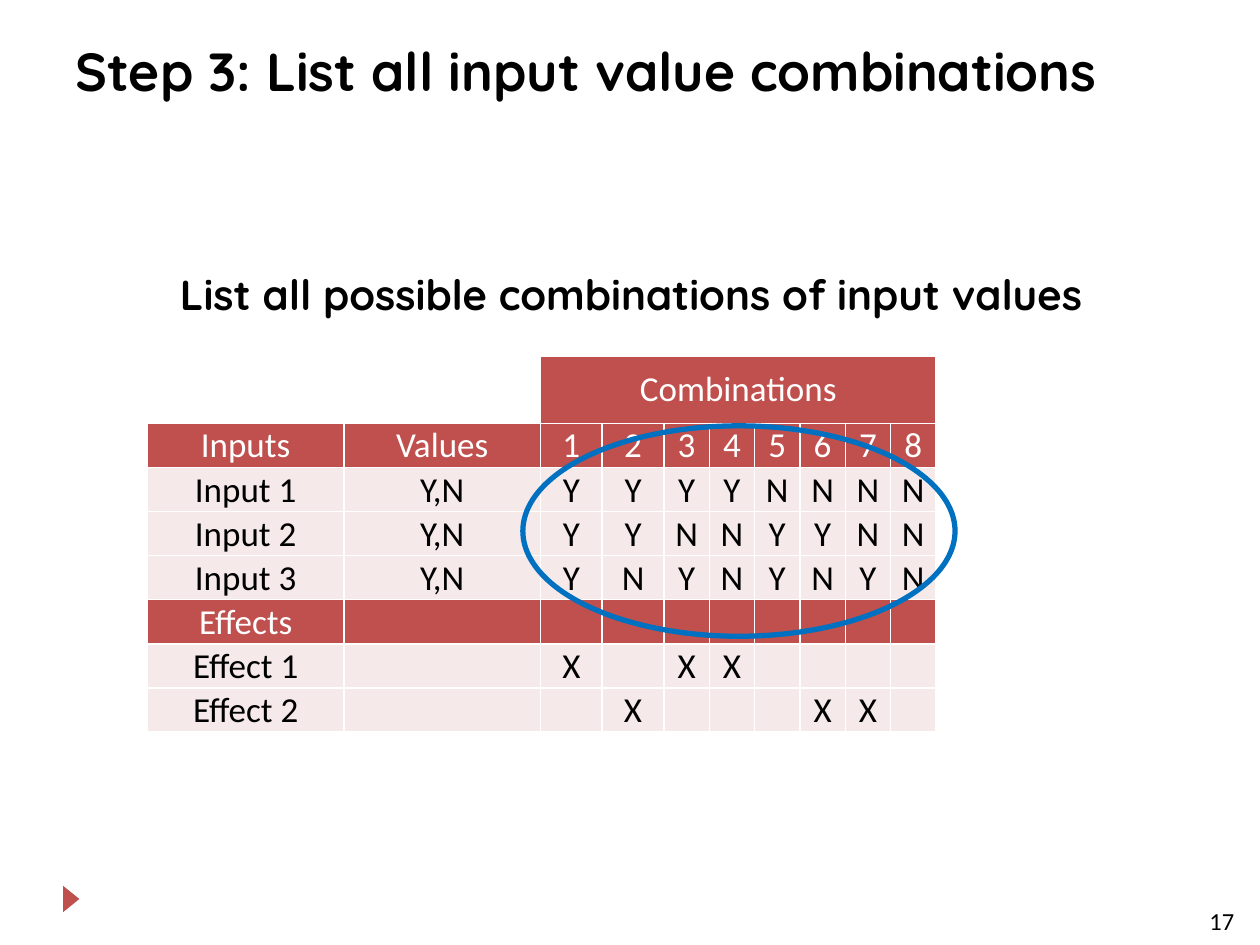
from dataclasses import dataclass

from lxml import etree
from pptx import Presentation
from pptx.dml.color import RGBColor
from pptx.enum.shapes import MSO_SHAPE
from pptx.enum.text import MSO_ANCHOR, PP_ALIGN
from pptx.oxml.ns import qn
from pptx.util import Inches, Pt

CENTER = PP_ALIGN.CENTER
MIDDLE, BOTTOM = MSO_ANCHOR.MIDDLE, MSO_ANCHOR.BOTTOM
TRIANGLE, OVAL = MSO_SHAPE.ISOSCELES_TRIANGLE, MSO_SHAPE.OVAL


@dataclass(frozen=True)
class Theme:
    """Colours, fonts and type sizes of the slide."""
    text: str = "000000"
    white: str = "FFFFFF"
    accent: str = "C0504D"
    band: str = "F5E9E9"
    ring: str = "0070C0"
    heading_font: str = "Quicksand"
    body_font: str = "Calibri"
    title: float = 30.6
    statement: float = 24
    cell: float = 20
    number: float = 14
    border: float = 1
    ring_width: float = 3


THEME = Theme()
COL_WIDTHS = [1.56] * 2 + [0.49] * 2 + [0.36] * 6
ROW_HEIGHTS = [0.53] + [0.35] * 7
HEADER_ROWS = {1, 5}
ROWS = [
    ["", "", "Combinations"],
    ["Inputs", "Values", *"12345678"],
    ["Input 1", "Y,N", *"YYYYNNNN"],
    ["Input 2", "Y,N", *"YYNNYYNN"],
    ["Input 3", "Y,N", *"YNYNYNYN"],
    ["Effects"],
    ["Effect 1", "", "X", "", "X", "X"],
    ["Effect 2", "", "", "X", "", "", "", "X", "X"],
]


def rgb(value):
    """Return the colour for a hex string."""
    return RGBColor.from_string(value)


def set_font(p, name, size, color, bold=False):
    """Set the font of a whole paragraph."""
    p.font.name, p.font.size, p.font.bold = name, Pt(size), bold
    p.font.color.rgb = rgb(color)


def add_text(s, box, text, font, size, bold=False):
    """Place one paragraph of text in a box."""
    tf = s.shapes.add_textbox(*map(Inches, box)).text_frame
    tf.word_wrap = True
    p = tf.paragraphs[0]
    p.text = text
    set_font(p, font, size, THEME.text, bold)


def add_marker(s, box):
    """Place the triangle that points right at the foot of the slide."""
    sp = s.shapes.add_shape(TRIANGLE, *map(Inches, box))
    sp.shadow.inherit = False
    sp.rotation = 90
    sp.fill.solid()
    sp.fill.fore_color.rgb = rgb(THEME.accent)
    sp.line.fill.background()


def add_ring(s, box):
    """Place the outlined ellipse around the combinations."""
    sp = s.shapes.add_shape(OVAL, *map(Inches, box))
    sp.shadow.inherit = False
    sp.fill.background()
    sp.line.color.rgb = rgb(THEME.ring)
    sp.line.width = Pt(THEME.ring_width)


def add_borders(cell):
    """Draw white lines on the four sides of a cell."""
    tc_pr = cell._tc.get_or_add_tcPr()
    for side in ("lnL", "lnR", "lnT", "lnB"):
        ln = etree.SubElement(tc_pr, qn(f"a:{side}"), w=str(Pt(THEME.border)))
        fill = etree.SubElement(ln, qn("a:solidFill"))
        etree.SubElement(fill, qn("a:srgbClr"), val=THEME.white)


def style_cell(cell, text, fill, color, anchor=BOTTOM):
    """Fill a cell and centre its text."""
    add_borders(cell)
    cell.margin_left = cell.margin_right = cell.margin_top = cell.margin_bottom = 0
    cell.vertical_anchor = anchor
    cell.fill.solid()
    cell.fill.fore_color.rgb = rgb(fill)
    p = cell.text_frame.paragraphs[0]
    p.text = text
    p.alignment = CENTER
    set_font(p, THEME.body_font, THEME.cell, color)


def add_decision_table(s, box):
    """Place the decision table of inputs, combinations and effects."""
    table = s.shapes.add_table(len(ROWS), len(COL_WIDTHS), *map(Inches, box)).table
    for column, width in zip(table.columns, COL_WIDTHS):
        column.width = Inches(width)
    for row, height in zip(table.rows, ROW_HEIGHTS):
        row.height = Inches(height)
    for r, texts in enumerate(ROWS):
        for c in range(len(COL_WIDTHS)):
            text = texts[c] if c < len(texts) else ""
            cell = table.cell(r, c)
            if r == 0:
                fill = THEME.white if c < 2 else THEME.accent
                style_cell(cell, text, fill, THEME.white, MIDDLE)
            elif r in HEADER_ROWS:
                style_cell(cell, text, THEME.accent, THEME.white)
            else:
                style_cell(cell, text, THEME.band, THEME.text)
    table.cell(0, 2).merge(table.cell(0, len(COL_WIDTHS) - 1))


def main():
    """Build the slide and save it."""
    prs = Presentation()
    prs.slide_width, prs.slide_height = Inches(10), Inches(7.5)
    s = prs.slides.add_slide(prs.slide_layouts[6])
    add_marker(s, (0.46, 7.07, 0.21, 0.13))
    add_text(s, (0.5, 0.25, 8.46, 1), "Step 3: List all input value combinations",
             THEME.heading_font, THEME.title, True)
    add_text(s, (9.5, 7.14, 0.45, 0.25), "17", THEME.body_font, THEME.number)
    add_text(s, (1.33, 2.08, 7.78, 4.25), "List all possible combinations of input values",
             THEME.heading_font, THEME.statement, True)
    add_decision_table(s, (1.17, 2.83, 6.25, 3))
    add_ring(s, (4.15, 3.38, 3.43, 1.67))
    prs.save("out.pptx")


if __name__ == "__main__":
    main()
